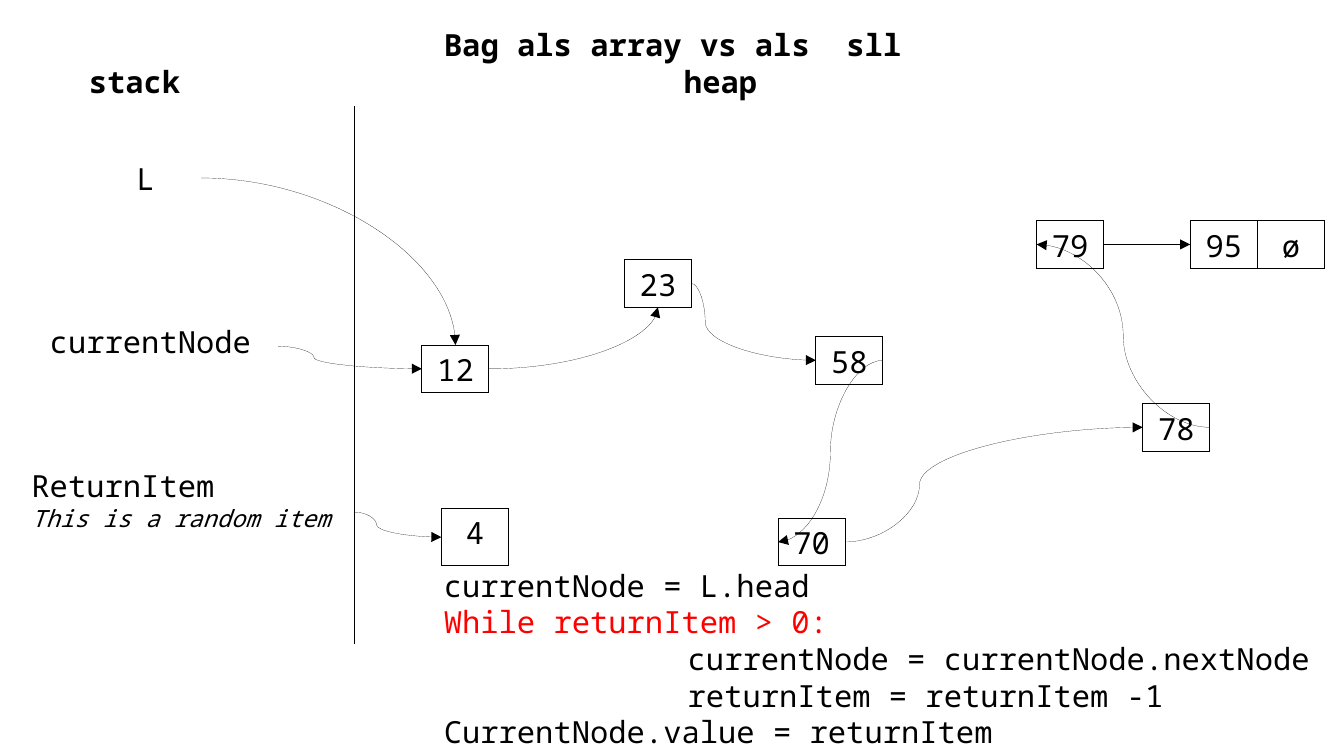
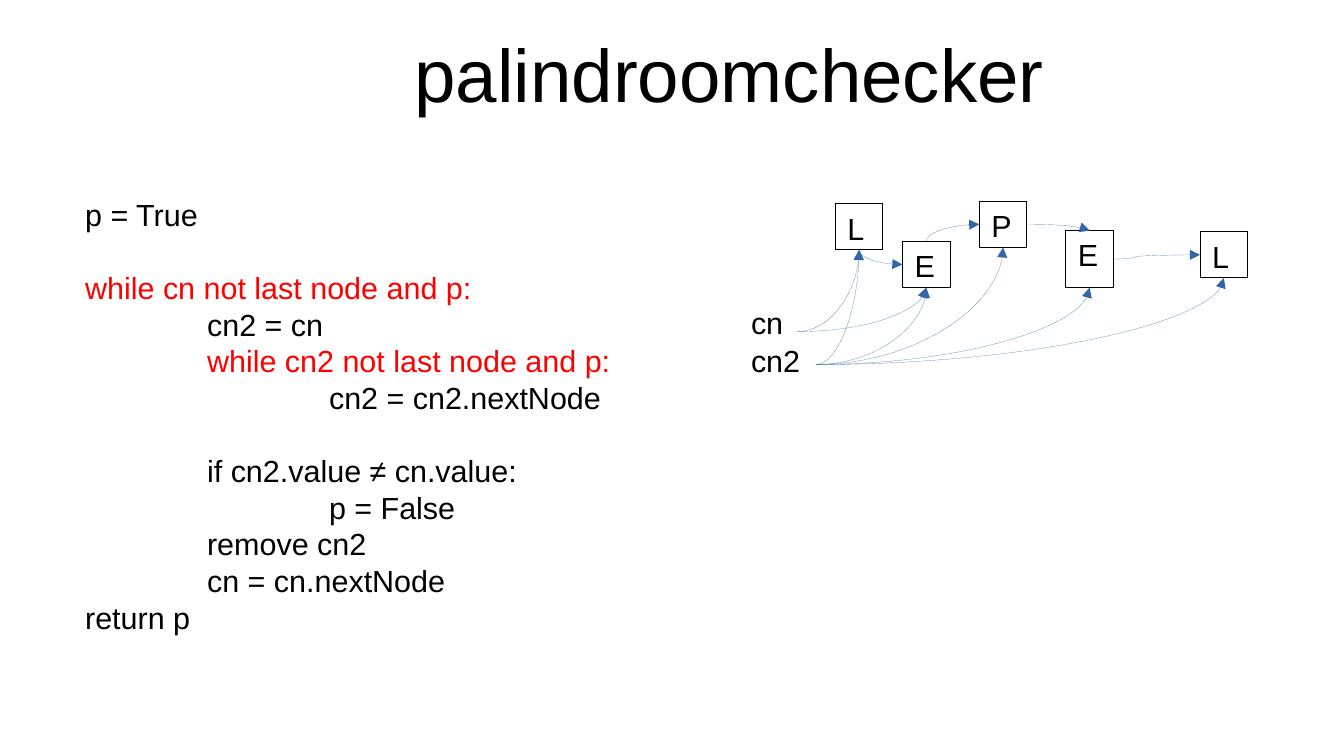
from lxml import etree
from pptx import Presentation
from pptx.dml.color import RGBColor
from pptx.enum.shapes import MSO_CONNECTOR, MSO_SHAPE
from pptx.enum.text import MSO_ANCHOR, MSO_AUTO_SIZE, PP_ALIGN
from pptx.oxml.ns import qn
from pptx.util import Inches, Pt

BLACK = RGBColor(0x00, 0x00, 0x00)
RED = RGBColor(0xFF, 0x00, 0x00)
BLUE = RGBColor(0x34, 0x65, 0xA4)

RECTANGLE = MSO_SHAPE.RECTANGLE
STRAIGHT, CURVE = MSO_CONNECTOR.STRAIGHT, MSO_CONNECTOR.CURVE
LEFT, CENTER = PP_ALIGN.LEFT, PP_ALIGN.CENTER
TOP, MIDDLE = MSO_ANCHOR.TOP, MSO_ANCHOR.MIDDLE
NO_AUTOSIZE = MSO_AUTO_SIZE.NONE
TOP_SIDE, LEFT_SIDE, BOTTOM_SIDE, RIGHT_SIDE = range(4)
HEAD_AT_START, HEAD_AT_END = "headEnd", "tailEnd"

TITLE_ONLY = 5
CODE_PITCH = Pt(21.6)
CODE_INDENT = Inches(1)

MONO = {"name": "Noto Sans Mono", "size": Pt(18)}
MONO_BOLD = {**MONO, "bold": True}
MONO_REMARK = {**MONO, "size": Pt(14), "italic": True}
SANS = {"name": "Arial", "size": Pt(18)}
SANS_TITLE = {**SANS, "size": Pt(44)}

BAG_LABELS = [  # place, lines of (text, font)
    ((0.63, 0.47, 1.42, 0.39), [("stack", MONO_BOLD)]),
    ((5.51, 0.47, 1.42, 0.39), [("heap", MONO_BOLD)]),
    ((1.02, 1.26, 0.63, 0.39), [("L", MONO)]),
    ((0.31, 2.6, 1.97, 0.47), [("currentNode", MONO)]),
    ((0.16, 3.78, 2.76, 0.85),
     [("ReturnItem", MONO), ("This is a random item", MONO_REMARK)]),
]
BAG_NODE_WIDTH = 0.55
BAG_NODES = [  # value, left, top, height
    ("12", 3.46, 2.83, 0.39), ("23", 5.12, 2.13, 0.39), ("58", 6.69, 2.76, 0.39),
    ("70", 6.38, 4.25, 0.39), ("78", 9.37, 3.31, 0.39), ("79", 8.5, 1.81, 0.39),
    ("95", 9.76, 1.81, 0.39), ("ø", 10.31, 1.81, 0.39), ("4", 3.62, 4.17, 0.47),
]
BAG_POINTERS = [  # start, node pointed at
    ((2.28, 2.84), "12"), ((2.91, 4.2), "4"),
]
BAG_LINKS = [  # from node, to node, turn
    ("23", "58", 0.11), ("58", "70", 0.5), ("70", "78", 0.25), ("78", "79", 0.5),
]
BAG_CODE = [  # text, indent level, colour, blank lines before
    ("currentNode = L.head", 0, BLACK, 0),
    ("While returnItem > 0:", 0, RED, 0),
    ("currentNode = currentNode.nextNode", 2, BLACK, 0),
    ("returnItem = returnItem -1", 2, BLACK, 0),
    ("CurrentNode.value = returnItem", 0, BLACK, 0),
]

PALINDROME_LABELS = [
    ((6.06, 2.44, 0.47, 0.55), [("cn", SANS)]),
    ((6.06, 2.76, 0.63, 0.47), [("cn2", SANS)]),
]
LETTER_WIDTH = 0.39
LETTERS = [  # letter, left, top, height
    ("L", 6.85, 1.67, 0.38), ("E", 7.4, 1.98, 0.38), ("P", 8.03, 1.65, 0.38),
    ("E", 8.74, 1.89, 0.47), ("L", 9.84, 1.9, 0.38),
]
LETTER_POINTERS = [  # start, number of letters pointed at
    ((6.54, 2.72), 2), ((6.69, 2.99), 5),
]
PALINDROME_CODE = [
    ("p = True", 0, BLACK, 0),
    ("while cn not last node and p:", 0, RED, 1),
    ("cn2 = cn", 1, BLACK, 0),
    ("while cn2 not last node and p:", 1, RED, 0),
    ("cn2 = cn2.nextNode", 2, BLACK, 0),
    ("if cn2.value ≠ cn.value:", 1, BLACK, 1),
    ("p = False", 2, BLACK, 0),
    ("remove cn2", 1, BLACK, 0),
    ("cn = cn.nextNode", 1, BLACK, 0),
    ("return p", 0, BLACK, 0),
]


def inches(*lengths):
    return [Inches(length) for length in lengths]


def set_attributes(target, values):
    for attribute, value in values.items():
        setattr(target, attribute, value)


def set_up_frame(frame, anchor=TOP):
    set_attributes(frame, {"word_wrap": True, "auto_size": NO_AUTOSIZE,
                           "vertical_anchor": anchor})


def write(paragraph, text, font, color=BLACK, align=LEFT):
    paragraph.alignment = align
    run = paragraph.add_run()
    run.text = text
    set_attributes(run.font, font)
    run.font.color.rgb = color


def add_title(slide, text, place, font, align, anchor):
    title = slide.shapes.title
    set_attributes(title, dict(zip(("left", "top", "width", "height"), inches(*place))))
    set_up_frame(title.text_frame, anchor)
    write(title.text_frame.paragraphs[0], text, font, align=align)


def add_paragraphs(slide, place, count):
    """Add a text box and return its empty paragraphs."""
    frame = slide.shapes.add_textbox(*inches(*place)).text_frame
    set_up_frame(frame)
    for _ in range(count - 1):
        frame.add_paragraph()
    return frame.paragraphs


def add_labels(slide, labels):
    for place, lines in labels:
        for paragraph, (text, font) in zip(add_paragraphs(slide, place, len(lines)), lines):
            write(paragraph, text, font)


def add_code(slide, place, code, font):
    paragraphs = add_paragraphs(slide, place, len(code))
    for paragraph, (text, level, color, blank_lines) in zip(paragraphs, code):
        write(paragraph, text, font, color)
        paragraph.line_spacing = CODE_PITCH
        paragraph.space_before = blank_lines * CODE_PITCH
        properties = paragraph._p.get_or_add_pPr()
        properties.set("marL", str(level * CODE_INDENT))
        properties.set("indent", "0")


def draw_hairline(shape, color):
    """Colour the outline and give it zero width, which line.width would leave out."""
    shape.line.color.rgb = color
    outline = shape.element.spPr.find(qn("a:ln"))
    outline.set("w", "0")
    return outline


def add_node(slide, text, place, font, align):
    node = slide.shapes.add_shape(RECTANGLE, *inches(*place))
    node.shadow.inherit = False
    node.fill.background()
    draw_hairline(node, BLACK)
    set_up_frame(node.text_frame)
    write(node.text_frame.paragraphs[0], text, font, align=align)
    return node


def side(node, number):
    """Return the middle of a node's side."""
    middle_x, middle_y = node.left + node.width // 2, node.top + node.height // 2
    return {
        TOP_SIDE: (middle_x, node.top),
        LEFT_SIDE: (node.left, middle_y),
        BOTTOM_SIDE: (middle_x, node.top + node.height),
        RIGHT_SIDE: (node.left + node.width, middle_y),
    }[number]


def add_line(slide, start, end, color=BLACK, head=None, kind=STRAIGHT):
    line = slide.shapes.add_connector(kind, *start, *end)
    outline = draw_hairline(line, color)
    if head:
        etree.SubElement(outline, qn(f"a:{head}")).set("type", "triangle")
    etree.SubElement(line.element.spPr, qn("a:effectLst"))
    return line


def add_s_arrow(slide, start, end, turn, color=BLACK):
    """Add an arrow that leaves and arrives sideways, turning at a share of its width."""
    arrow = add_line(slide, start, end, color, HEAD_AT_END, CURVE)
    guides = arrow.element.spPr.find(qn("a:prstGeom")).find(qn("a:avLst"))
    guide = etree.SubElement(guides, qn("a:gd"))
    guide.set("name", "adj1")
    guide.set("fmla", f"val {round(turn * 100000)}")


def add_bend_arrow(slide, start, end, color=BLACK, head=HEAD_AT_END):
    """Add a quarter-turn arrow that is level at its start and upright at its end."""
    arrow = add_line(slide, start, end, color, head, CURVE)
    arrow.element.spPr.find(qn("a:prstGeom")).set("prst", "curvedConnector2")


def build_bag_slide(slide):
    add_title(slide, "Bag als array vs als  sll", (3.54, 0.16, 4.33, 0.39),
              MONO_BOLD, LEFT, TOP)
    add_labels(slide, BAG_LABELS)
    add_code(slide, (3.54, 4.6, 7.45, 1.58), BAG_CODE, MONO)
    add_line(slide, inches(2.91, 0.87), inches(2.91, 5.28))

    nodes = {value: add_node(slide, value, (left, top, BAG_NODE_WIDTH, height), MONO, CENTER)
             for value, left, top, height in BAG_NODES}
    head = nodes["12"]
    add_bend_arrow(slide, inches(1.65, 1.46), side(head, TOP_SIDE))
    add_bend_arrow(slide, side(head, RIGHT_SIDE), side(nodes["23"], BOTTOM_SIDE))
    for start, target in BAG_POINTERS:
        add_s_arrow(slide, inches(*start), side(nodes[target], LEFT_SIDE), 0.25)
    for source, target, turn in BAG_LINKS:
        add_s_arrow(slide, side(nodes[source], RIGHT_SIDE),
                    side(nodes[target], LEFT_SIDE), turn)

    before_last, last = nodes["79"], nodes["95"]
    last_link = add_line(slide, side(before_last, RIGHT_SIDE), side(last, LEFT_SIDE),
                         head=HEAD_AT_END)
    last_link.begin_connect(before_last, RIGHT_SIDE)
    last_link.end_connect(last, LEFT_SIDE)


def build_palindrome_slide(slide):
    add_title(slide, "palindroomchecker", (1.02, 0.08, 9.92, 1.04),
              SANS_TITLE, CENTER, MIDDLE)
    add_code(slide, (0.6, 1.56, 4.6, 3.74), PALINDROME_CODE, SANS)
    add_labels(slide, PALINDROME_LABELS)

    nodes = [add_node(slide, letter, (left, top, LETTER_WIDTH, height), SANS, LEFT)
             for letter, left, top, height in LETTERS]
    first, second, third, fourth, last = nodes
    for level_end, upright_end, head in [
        (side(second, LEFT_SIDE), side(first, BOTTOM_SIDE), HEAD_AT_START),
        (side(third, LEFT_SIDE), side(second, TOP_SIDE), HEAD_AT_START),
        (side(third, RIGHT_SIDE), side(fourth, TOP_SIDE), HEAD_AT_END),
    ]:
        add_bend_arrow(slide, level_end, upright_end, BLUE, head)
    add_s_arrow(slide, side(fourth, RIGHT_SIDE), side(last, LEFT_SIDE), 0.25, BLUE)
    for start, reach in LETTER_POINTERS:
        for node in nodes[:reach]:
            add_bend_arrow(slide, inches(*start), side(node, BOTTOM_SIDE), BLUE)


def main():
    presentation = Presentation()
    presentation.slide_width, presentation.slide_height = inches(11.02, 6.2)
    for build in (build_bag_slide, build_palindrome_slide):
        build(presentation.slides.add_slide(presentation.slide_layouts[TITLE_ONLY]))
    presentation.save("out.pptx")


if __name__ == "__main__":
    main()
